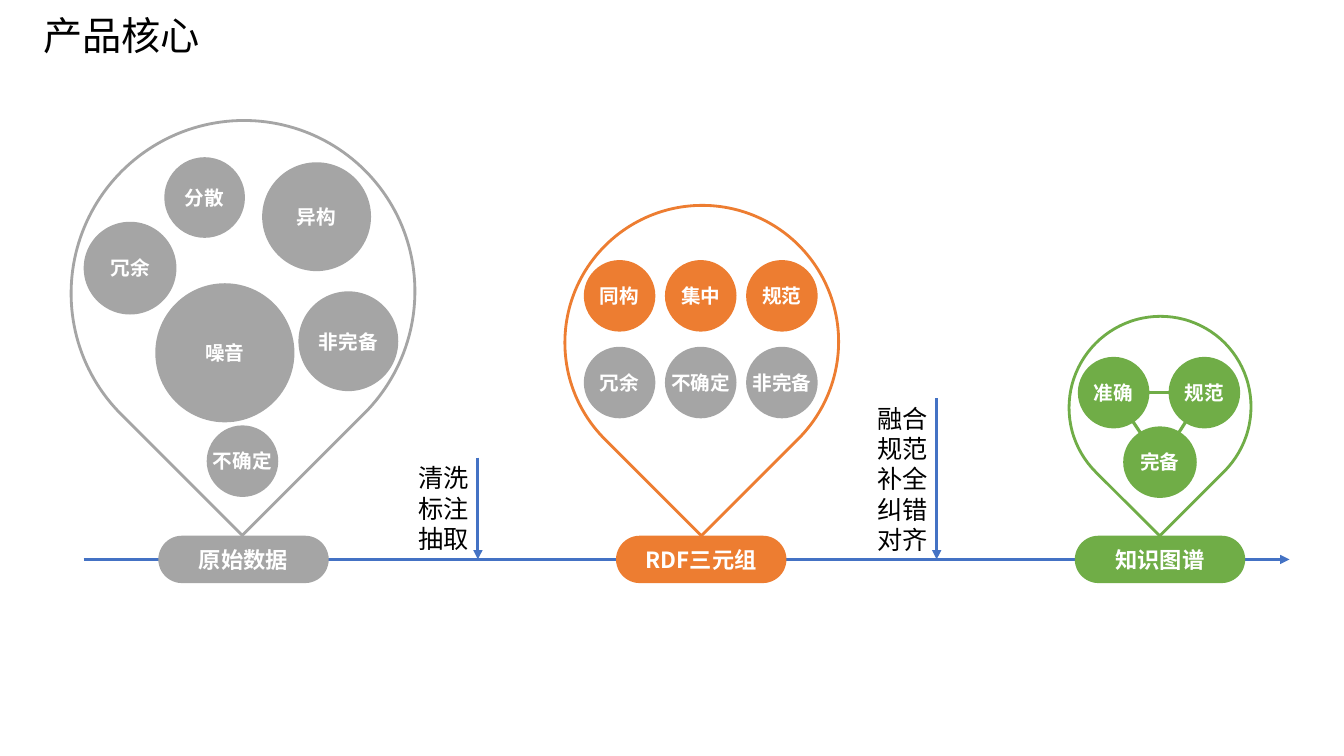
from itertools import combinations

from lxml import etree
from pptx import Presentation
from pptx.dml.color import RGBColor
from pptx.enum import shapes, text
from pptx.oxml import ns
from pptx.util import Inches, Pt

FONT = "Noto Sans CJK SC"
GRAY, ORANGE, GREEN, BLUE = "A5A5A5", "ED7D31", "70AD47", "4472C4"
WHITE, BLACK = "FFFFFF", "000000"

TITLE = "产品核心"
AXIS_Y = 5.55
LABEL_W, LABEL_H = 1.69, 0.47
STAGES = [
    ("原始数据", GRAY, 1.57, (0.7, 1.2, 3.42, 3.4)),
    ("RDF三元组", ORANGE, 6.11, (5.6, 2.04, 2.72, 2.71)),
    ("知识图谱", GREEN, 10.66, (10.6, 3.14, 1.81, 1.8)),
]
RAW_TRAITS = [
    ("分散", 1.63, 1.56, 0.8),
    ("异构", 2.6, 1.61, 1.08),
    ("冗余", 0.83, 2.2, 0.92),
    ("噪音", 1.54, 2.81, 1.38),
    ("非完备", 2.96, 2.89, 0.99),
    ("不确定", 2.05, 4.22, 0.71),
]
TRIPLE_TRAITS = [
    (ORANGE, ["同构", "集中", "规范"]),
    (GRAY, ["冗余", "不确定", "非完备"]),
]
GRAPH_TRAITS = [
    ("准确", 10.69, 3.54, 0.71),
    ("完备", 11.14, 4.23, 0.73),
    ("规范", 11.59, 3.54, 0.71),
]
STEPS = [
    (["清洗", "标注", "抽取"], 4.05, 4.54, 1.01),
    (["融合", "规范", "补全", "纠错", "对齐"], 8.6, 3.95, 1.62),
]
DOT = 0.71
GRID_X, GRID_Y, GRID_DX, GRID_DY = 5.79, 2.58, 0.805, 0.86

prs = Presentation()
prs.slide_width, prs.slide_height = Inches(13.33), Inches(7.5)
s = prs.slides.add_slide(prs.slide_layouts[6])


def rgb(value):
    return RGBColor.from_string(value)


def add_run(p, words, size, color, bold=False):
    r = p.add_run()
    r.text = words
    r.font.size, r.font.bold, r.font.name = Pt(size), bold, FONT
    r.font.color.rgb = rgb(color)
    ea = etree.SubElement(r.font._element, ns.qn("a:ea"))
    ea.set("typeface", FONT)


def add_line(x1, y1, x2, y2, color, arrow=False):
    sp = s.shapes.add_connector(
        shapes.MSO_CONNECTOR.STRAIGHT, Inches(x1), Inches(y1), Inches(x2), Inches(y2))
    sp.line.color.rgb = rgb(color)
    sp.line.width = Pt(2.25)
    if arrow:
        tail = etree.SubElement(sp.line._get_or_add_ln(), ns.qn("a:tailEnd"))
        tail.set("type", "triangle")
    etree.SubElement(sp._element.spPr, ns.qn("a:effectLst"))


def add_shape(kind, x, y, w, h):
    sp = s.shapes.add_shape(kind, Inches(x), Inches(y), Inches(w), Inches(h))
    sp.shadow.inherit = False
    return sp


def add_badge(kind, words, x, y, w, h, color, size):
    sp = add_shape(kind, x, y, w, h)
    sp.fill.solid()
    sp.fill.fore_color.rgb = rgb(color)
    sp.line.fill.background()
    tf = sp.text_frame
    tf.word_wrap = False
    tf.vertical_anchor = text.MSO_ANCHOR.MIDDLE
    p = tf.paragraphs[0]
    p.alignment = text.PP_ALIGN.CENTER
    add_run(p, words, size, WHITE, True)
    return sp


def add_dot(words, x, y, w, color, h=None):
    add_badge(shapes.MSO_SHAPE.OVAL, words, x, y, w, h or w, color, 14)


def add_text(x, y, w, h):
    sp = s.shapes.add_textbox(Inches(x), Inches(y), Inches(w), Inches(h))
    return sp.text_frame


centers = [(x + w / 2, y + DOT / 2) for _, x, y, w in GRAPH_TRAITS]
for start, end in combinations(centers, 2):
    add_line(*start, *end, GREEN)

tf = add_text(0.33, 0, 12.67, 0.75)
tf.word_wrap = True
tf.vertical_anchor = text.MSO_ANCHOR.MIDDLE
tf.paragraphs[0].line_spacing = 0.9
add_run(tf.paragraphs[0], TITLE, 28, BLACK)

add_line(0.83, AXIS_Y, 12.79, AXIS_Y, BLUE, True)

for name, color, left, pin_box in STAGES:
    pin = add_shape(shapes.MSO_SHAPE.TEAR, *pin_box)
    pin.rotation = 135
    pin.fill.background()
    pin.line.color.rgb = rgb(color)
    pin.line.width = Pt(2)
    label = add_badge(shapes.MSO_SHAPE.ROUNDED_RECTANGLE, name, left,
                      AXIS_Y - LABEL_H / 2, LABEL_W, LABEL_H, color, 15.9)
    label.adjustments[0] = 0.5

for name, x, y, size in RAW_TRAITS:
    add_dot(name, x, y, size, GRAY)

for row, (color, names) in enumerate(TRIPLE_TRAITS):
    for col, name in enumerate(names):
        add_dot(name, GRID_X + col * GRID_DX, GRID_Y + row * GRID_DY, DOT, color)

for name, x, y, w in GRAPH_TRAITS:
    add_dot(name, x, y, w, GREEN, DOT)

for names, x, y, h in STEPS:
    tf = add_text(x, y, 0.71, h)
    tf.word_wrap = False
    tf.auto_size = text.MSO_AUTO_SIZE.SHAPE_TO_FIT_TEXT
    for i, name in enumerate(names):
        p = tf.add_paragraph() if i else tf.paragraphs[0]
        p.line_spacing = Pt(21.6)
        add_run(p, name, 18, BLACK)
    add_line(x + 0.69, y, x + 0.69, AXIS_Y, BLUE, True)

prs.save("out.pptx")
